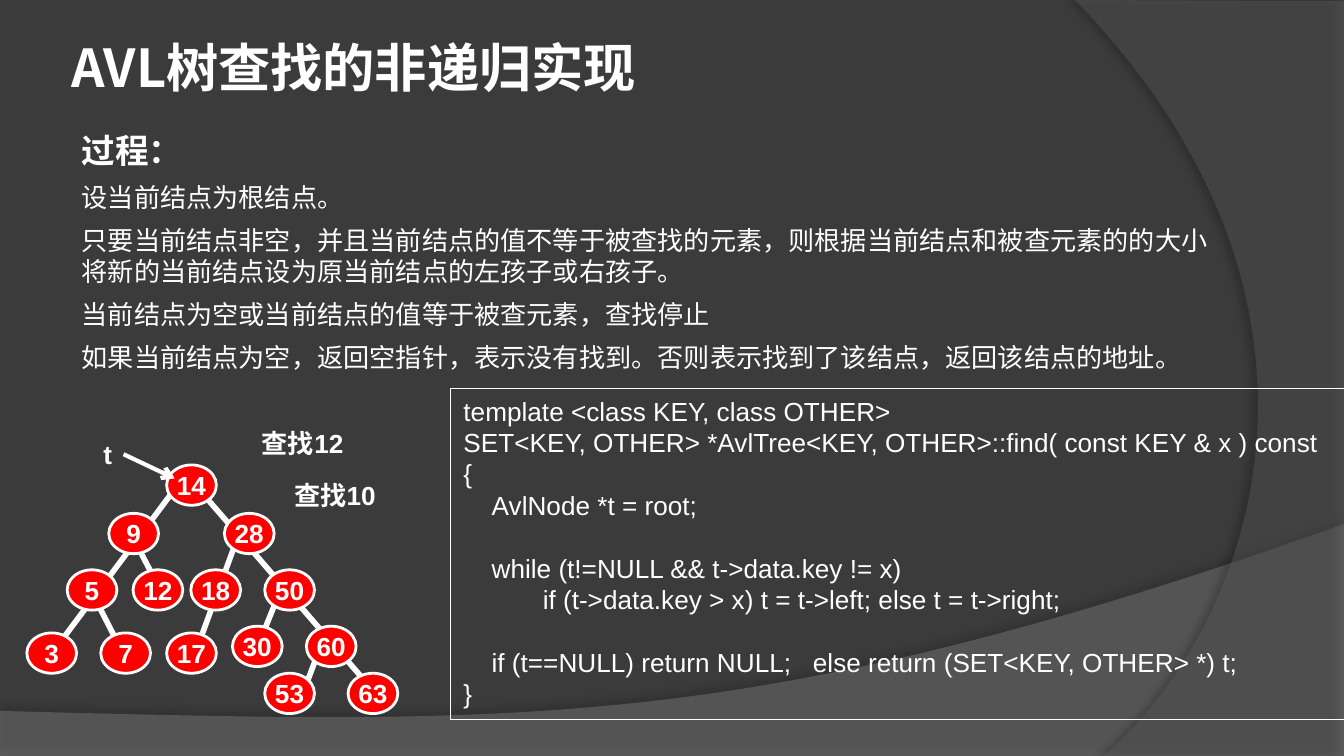
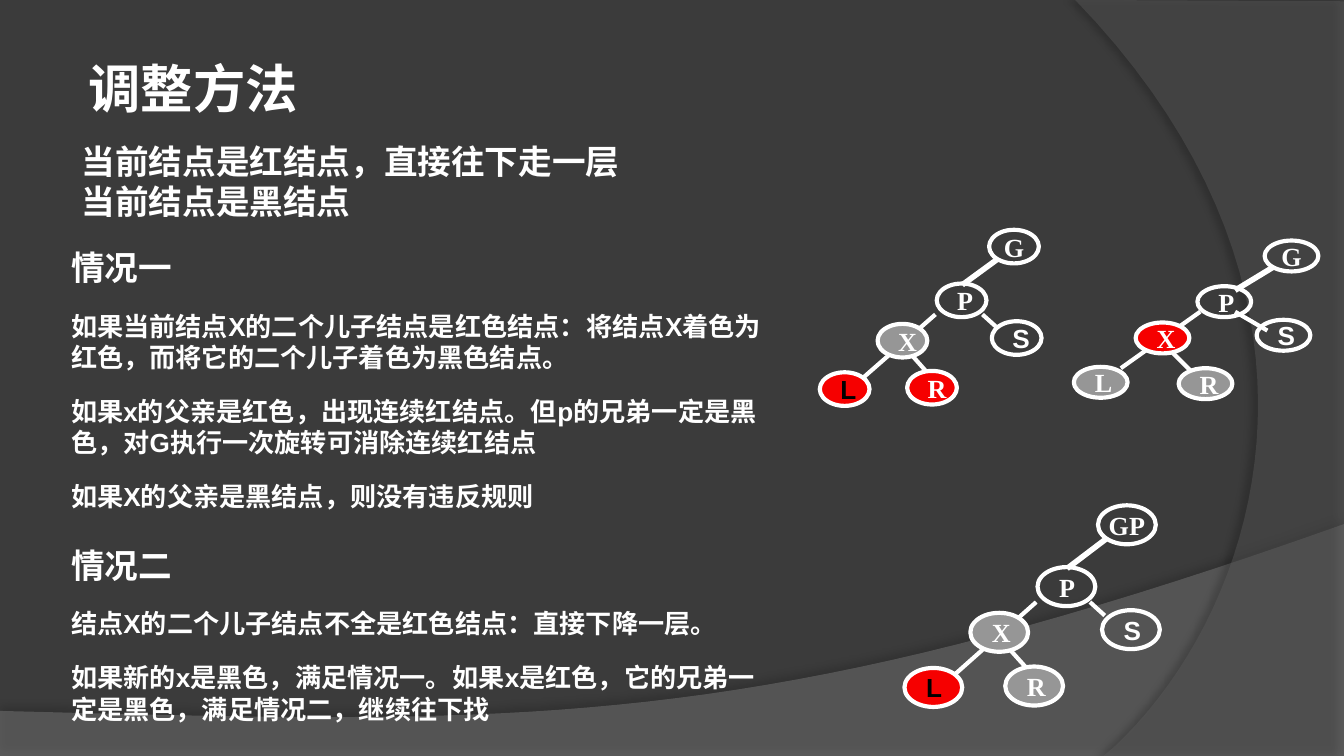
from lxml.etree import SubElement
from pptx import Presentation
from pptx.dml.color import RGBColor
from pptx.enum.shapes import MSO_CONNECTOR, MSO_SHAPE
from pptx.enum.text import MSO_ANCHOR, MSO_AUTO_SIZE, PP_ALIGN
from pptx.oxml.ns import qn
from pptx.util import Inches, Pt

SLIDE_WIDTH = Inches(10)
SLIDE_HEIGHT = SLIDE_WIDTH * 9 // 16
COLORS = {
    "background": "3B3B3B", "white": "FFFFFF", "black": "000000",
    "wave": "7F7F7F", "arc": "5E5E5E",
    "node": "FF0000", "red": "F60000", "gray": "969696",
}
SANS, CJK, SERIF = "Arial", "Noto Sans CJK SC", "Times New Roman"
LINE_HEIGHT = 1.2
CURVE_STEPS = 40

SEARCH_NODES = [
    ("14", 1.24, 3.46), ("9", 0.81, 3.82), ("28", 1.67, 3.82),
    ("5", 0.5, 4.24), ("12", 0.99, 4.24), ("18", 1.42, 4.24), ("50", 1.97, 4.24),
    ("3", 0.2, 4.71), ("7", 0.75, 4.71), ("17", 1.24, 4.71), ("30", 1.73, 4.66),
    ("60", 2.28, 4.66), ("53", 1.97, 5.01), ("63", 2.59, 5.01),
]
SEARCH_EDGES = [
    (2.1, 4.36, 1.91, 4.83), (2.4, 4.77, 2.22, 5.25), (0.99, 4, 1.24, 4.48),
    (0.69, 4.42, 0.93, 4.89), (1.79, 3.94, 1.42, 4.95),
    (1.48, 3.64, 2.77, 5.13), (1.3, 3.64, 0.32, 4.95),
]
SEARCH_STEPS = [
    "设当前结点为根结点。",
    "只要当前结点非空，并且当前结点的值不等于被查找的元素，则根据当前结点和被查元素的的大小"
    "将新的当前结点设为原当前结点的左孩子或右孩子。",
    "当前结点为空或当前结点的值等于被查元素，查找停止",
    "如果当前结点为空，返回空指针，表示没有找到。否则表示找到了该结点，返回该结点的地址。",
]
FIND_CODE = [
    ("template <class KEY, class OTHER>", 0, 0),
    ("SET<KEY, OTHER> *AvlTree<KEY, OTHER>::find( const KEY & x ) const", 0, 0),
    ("{", 0, 0),
    ("AvlNode *t = root;", 0.21, 0),
    ("while (t!=NULL && t->data.key != x)", 0.21, 1),
    ("if (t->data.key > x) t = t->left; else t = t->right;", 0.59, 0),
    ("if (t==NULL) return NULL;   else return (SET<KEY, OTHER> *) t;", 0.21, 1),
    ("}", 0, 0),
]
CASES = [
    ("情况一", [
        "如果当前结点X的二个儿子结点是红色结点：将结点X着色为红色，而将它的二个儿子着色为黑色结点。",
        "如果x的父亲是红色，出现连续红结点。但p的兄弟一定是黑色，对G执行一次旋转可消除连续红结点",
        "如果X的父亲是黑结点，则没有违反规则",
    ]),
    ("情况二", [
        "结点X的二个儿子结点不全是红色结点：直接下降一层。",
        "如果新的x是黑色，满足情况一。如果x是红色，它的兄弟一定是黑色，满足情况二，继续往下找",
    ]),
]
RED_BLACK_TREES = [
    {
        "size": (0.37, 0.25),
        "nodes": [("G", 7.36, 1.71, None), ("P", 6.97, 2.11, None), ("S", 7.38, 2.39, None),
                  ("X", 6.53, 2.41, "gray"), ("L", 6.1, 2.77, "red"), ("R", 6.75, 2.76, "red")],
        "edges": [(6.72, 2.57, 6.95, 2.83), (7.31, 2.34, 7.41, 2.43), (6.96, 2.34, 6.4, 2.83)],
        "top_edge": (7.42, 1.93, 7.16, 2.12),
    },
    {
        "size": (0.4, 0.23),
        "nodes": [("G", 9.41, 1.79, None), ("P", 8.91, 2.13, None), ("S", 9.35, 2.38, None),
                  ("X", 8.45, 2.4, "red"), ("L", 7.99, 2.73, "gray"), ("R", 8.77, 2.74, "gray")],
        "edges": [(8.64, 2.54, 8.89, 2.79), (9.19, 2.32, 9.43, 2.46), (8.93, 2.32, 8.34, 2.74)],
        "top_edge": (9.47, 1.99, 9.19, 2.16),
    },
    {
        "size": (0.43, 0.29),
        "nodes": [("GP", 8.17, 3.76, None), ("P", 7.72, 4.22, None), ("S", 8.2, 4.54, None),
                  ("X", 7.22, 4.56, "gray"), ("L", 6.73, 4.97, "red"), ("R", 7.48, 4.96, "gray")],
        "edges": [(7.43, 4.74, 7.7, 5.04), (8.11, 4.48, 8.22, 4.58), (7.71, 4.48, 7.08, 5.04)],
        "top_edge": (8.23, 4.01, 7.94, 4.23),
    },
]


def color(name):
    return RGBColor.from_string(COLORS[name])


def add_run(paragraph, text, size=14, font=SANS, bold=False, ink="white"):
    run = paragraph.add_run()
    run.text = text
    run.font.size = Pt(size)
    run.font.name = font
    run.font.bold = bold
    run.font.color.rgb = color(ink)
    SubElement(run.font._element, qn("a:ea")).set("typeface", CJK)


def write_paragraphs(frame, paragraphs):
    frame.word_wrap = True
    frame.vertical_anchor = MSO_ANCHOR.TOP
    for index, item in enumerate(paragraphs):
        paragraph = frame.paragraphs[0] if index == 0 else frame.add_paragraph()
        size = item.get("size", 14)
        paragraph.alignment = PP_ALIGN.LEFT
        paragraph.line_spacing = Pt(size * LINE_HEIGHT)
        paragraph.space_before = Pt(item.get("before", 0))
        if item.get("indent"):
            paragraph._p.get_or_add_pPr().set("marL", str(Inches(item["indent"])))
        add_run(paragraph, item["text"], size, item.get("font", SANS), item.get("bold", False))


def add_text(shapes, left, top, width, height, paragraphs):
    box = shapes.add_textbox(Inches(left), Inches(top), Inches(width), Inches(height))
    write_paragraphs(box.text_frame, paragraphs)


def add_label(shapes, text, left, top, width=1.1, height=0.34):
    add_text(shapes, left, top, width, height, [{"text": text, "bold": True}])


def add_edge(shapes, points, width, arrow=False):
    connector = shapes.add_connector(MSO_CONNECTOR.STRAIGHT, *map(Inches, points))
    connector.line.color.rgb = color("white")
    connector.line.width = Pt(width)
    if arrow:
        SubElement(connector.line._get_or_add_ln(), qn("a:tailEnd")).set("type", "arrow")
    SubElement(connector._element.spPr, qn("a:effectLst"))


def add_outlined(shapes, kind, left, top, width, height, line_width, fill=None):
    shape = shapes.add_shape(kind, Inches(left), Inches(top), Inches(width), Inches(height))
    shape.shadow.inherit = False
    shape.line.color.rgb = color("white")
    shape.line.width = Pt(line_width)
    if fill:
        shape.fill.solid()
        shape.fill.fore_color.rgb = color(fill)
    else:
        shape.fill.background()
    return shape


def add_node(shapes, text, left, top, size, fill, line_width, insets, font=SANS, ink="white", wrap=True):
    shape = add_outlined(shapes, MSO_SHAPE.OVAL, left, top, *size, line_width, fill)
    frame = shape.text_frame
    frame.word_wrap = wrap
    frame.vertical_anchor = MSO_ANCHOR.MIDDLE
    frame.margin_left = frame.margin_right = Inches(insets[0])
    frame.margin_top = frame.margin_bottom = Inches(insets[1])
    frame.paragraphs[0].alignment = PP_ALIGN.CENTER
    add_run(frame.paragraphs[0], text, 14, font, True, ink)


def curve(*controls):
    points = []
    for step in range(1, CURVE_STEPS + 1):
        t = step / CURVE_STEPS
        weights = ((1 - t) ** 3, 3 * t * (1 - t) ** 2, 3 * t * t * (1 - t), t ** 3)
        points.append(tuple(sum(w * point[axis] for w, point in zip(weights, controls))
                            for axis in (0, 1)))
    return points


def add_band(slide, points, fill, opacity, shadow_opacity, distance, direction):
    corners = [(Inches(x), min(Inches(y), SLIDE_HEIGHT)) for x, y in points]
    builder = slide.shapes.build_freeform(*corners[0])
    builder.add_line_segments(corners[1:], close=True)
    shape = builder.convert_to_shape()
    shape.line.fill.background()
    shape.fill.solid()
    shape.fill.fore_color.rgb = color(fill)
    fill_color = shape._element.spPr.find(qn("a:solidFill"))[0]
    SubElement(fill_color, qn("a:alpha")).set("val", str(opacity * 1000))
    shape.shadow.inherit = False
    effects = shape._element.spPr.find(qn("a:effectLst"))
    shadow = SubElement(effects, qn("a:outerShdw"), blurRad=str(Pt(4)), dist=str(Pt(distance)),
                        dir=str(direction * 60000), algn="ctr", rotWithShape="0")
    shadow_color = SubElement(shadow, qn("a:srgbClr"), val=COLORS["black"])
    SubElement(shadow_color, qn("a:alpha"), val=str(shadow_opacity * 1000))


def add_titled_slide(presentation, title, left, top):
    slide = presentation.slides.add_slide(presentation.slide_layouts[5])
    wave = [(0, 5.29), (0, 5.63), (10, 5.63), (10, 3.9)]
    wave += curve((10, 3.9), (5.59, 5.47), (3.91, 5.39), (0, 5.29))
    add_band(slide, wave, "wave", 45, 35, 3.5, 270)
    arc = [(10, 0.01), (10, 5.63), (8.21, 5.63)]
    arc += curve((8.21, 5.63), (9.35, 4.64), (10.18, 2.25), (8, 0))
    add_band(slide, arc, "arc", 40, 45, 4, 180)
    shape = slide.shapes.title
    shape.left, shape.top = Inches(left), Inches(top)
    shape.width, shape.height = Inches(4.51), Inches(0.57)
    write_paragraphs(shape.text_frame, [{"text": title, "size": 28, "font": CJK, "bold": True}])
    shape.text_frame.auto_size = MSO_AUTO_SIZE.NONE
    return slide


def add_search_tree(slide):
    shapes = slide.shapes.add_group_shape().shapes
    for edge in SEARCH_EDGES:
        add_edge(shapes, edge, 3)
    for text, left, top in SEARCH_NODES:
        add_node(shapes, text, left, top, (0.37, 0.3), "node", 1.5, (0, 0.05), wrap=False)


def add_red_black_tree(slide, tree):
    shapes = slide.shapes.add_group_shape().shapes
    for edge in tree["edges"]:
        add_edge(shapes, edge, 2.25)
    for text, left, top, fill in tree["nodes"]:
        dark_leaf = text == "L" and fill == "red"
        font = SANS if dark_leaf or text == "S" else SERIF
        inset = 0 if text.startswith("G") else 0.1
        add_node(shapes, text, left, top, tree["size"], fill, 2.25, (inset, 0),
                 font, "black" if dark_leaf else "white")
    add_edge(shapes, tree["top_edge"], 3)


def add_code(slide):
    box = add_outlined(slide.shapes, MSO_SHAPE.RECTANGLE, 3.35, 2.89, 6.65, 2.46, 0.25)
    write_paragraphs(box.text_frame, [
        {"text": text, "indent": indent, "before": gap * 14 * LINE_HEIGHT}
        for text, indent, gap in FIND_CODE])


def build_search_slide(presentation):
    slide = add_titled_slide(presentation, "AVL树查找的非递归实现", 0.43, 0.21)
    steps = [{"text": "过程：", "size": 18, "font": CJK, "bold": True}]
    steps += [{"text": text, "before": 6} for text in SEARCH_STEPS]
    add_text(slide.shapes, 0.51, 0.92, 8.66, 1.92, steps)
    add_search_tree(slide)
    add_label(slide.shapes, "查找12", 1.85, 3.13)
    pointer = slide.shapes.add_group_shape().shapes
    add_label(pointer, "t", 0.67, 3.21, 0.29, 0.17)
    add_edge(pointer, (0.92, 3.38, 1.3, 3.56), 2.25, arrow=True)
    add_code(slide)
    add_label(slide.shapes, "查找10", 2.09, 3.52)


def build_adjustment_slide(presentation):
    slide = add_titled_slide(presentation, "调整方法", 0.56, 0.37)
    paragraphs = []
    for heading, texts in CASES:
        paragraphs.append({"text": heading, "size": 18, "font": CJK, "bold": True,
                           "before": 18 if paragraphs else 12})
        paragraphs += [{"text": text, "bold": True, "before": 12} for text in texts]
    add_text(slide.shapes, 0.43, 1.79, 5.35, 3.69, paragraphs)
    for tree in RED_BLACK_TREES:
        add_red_black_tree(slide, tree)
    add_text(slide.shapes, 0.51, 1, 4.57, 0.71, [
        {"text": text, "size": 18, "bold": True}
        for text in ("当前结点是红结点，直接往下走一层", "当前结点是黑结点")])


def main():
    presentation = Presentation()
    presentation.slide_width, presentation.slide_height = SLIDE_WIDTH, SLIDE_HEIGHT
    background = presentation.slide_master.background.fill
    background.solid()
    background.fore_color.rgb = color("background")
    build_search_slide(presentation)
    build_adjustment_slide(presentation)
    presentation.save("out.pptx")


if __name__ == "__main__":
    main()
